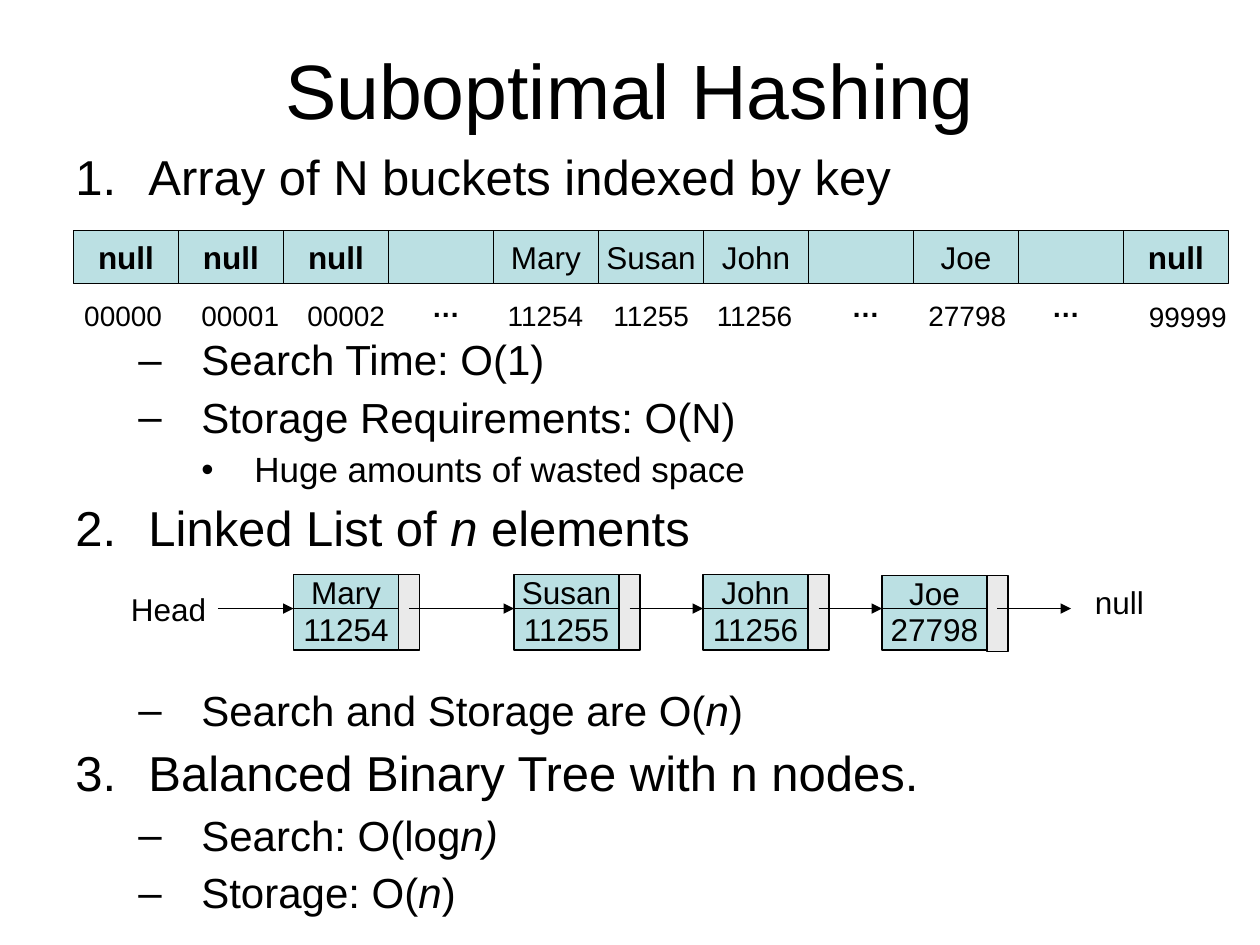
from lxml import etree
from pptx import Presentation
from pptx.dml.color import RGBColor
from pptx.enum import shapes, text
from pptx.oxml import ns
from pptx.util import Inches, Pt

COLORS = {"ink": "000000", "bucket": "BBE0E3", "pointer": "EAEAEA"}
FONT = "Arial"
INK = RGBColor.from_string(COLORS["ink"])
CENTER, LEFT = text.PP_ALIGN.CENTER, text.PP_ALIGN.LEFT
MIDDLE, TOP = text.MSO_ANCHOR.MIDDLE, text.MSO_ANCHOR.TOP

presentation = Presentation()
presentation.slide_width, presentation.slide_height = Inches(10), Inches(7.5)
slide = presentation.slides.add_slide(presentation.slide_layouts[5])


def write(shape, content, size, align=LEFT, anchor=TOP, bold=False):
    """Put one unwrapped line of text into a shape."""
    frame = shape.text_frame
    frame.auto_size = text.MSO_AUTO_SIZE.NONE
    frame.word_wrap = False
    frame.vertical_anchor = anchor
    paragraph = frame.paragraphs[0]
    paragraph.alignment = align
    run = paragraph.add_run()
    run.text = content
    for name, value in {"name": FONT, "size": Pt(size), "bold": bold}.items():
        setattr(run.font, name, value)
    run.font.color.rgb = INK


def add_cell(left, top, width, height, fill, content="", bold=False):
    cell = slide.shapes.add_shape(
        shapes.MSO_SHAPE.RECTANGLE, Inches(left), Inches(top), Inches(width), Inches(height))
    cell.shadow.inherit = False
    cell.fill.solid()
    cell.fill.fore_color.rgb = RGBColor.from_string(COLORS[fill])
    cell.line.color.rgb = INK
    cell.line.width = Pt(0.75)
    if content:
        write(cell, content, 18, CENTER, MIDDLE, bold)


# Title
title = slide.shapes.title
title.left, title.top, title.width, title.height = (Inches(n) for n in (0.5, 0.08, 9, 1.25))
write(title, "Suboptimal Hashing", 44, CENTER, MIDDLE)

# Outline: level, text with *italic* parts, space before in points
SPACING = [8, 7, 5.75]
DIAGRAM_GAP = 76
outline = [
    (0, "Array of N buckets indexed by key", SPACING[0]),
    (1, "Search Time: O(1)", DIAGRAM_GAP),
    (1, "Storage Requirements: O(N)", SPACING[1]),
    (2, "Huge amounts of wasted space", SPACING[2]),
    (0, "Linked List of *n* elements", SPACING[0]),
    (1, "Search and Storage are O(*n*)", DIAGRAM_GAP),
    (0, "Balanced Binary Tree with n nodes.", SPACING[0]),
    (1, "Search: O(log*n)*", SPACING[1]),
    (1, "Storage: O(*n*)", SPACING[1]),
]
SIZES = [28, 24, 20]
MARGINS = [0.58, 1, 1.42]
HANGS = [0.58, 0.5, 0.42]
BULLETS = [None, "–", "•"]

body = slide.shapes.add_textbox(Inches(0.5), Inches(1.17), Inches(9), Inches(6.42))
body.text_frame.word_wrap = True
number = 0
for index, (level, content, space) in enumerate(outline):
    paragraph = body.text_frame.paragraphs[0] if index == 0 else body.text_frame.add_paragraph()
    paragraph.level = level
    paragraph.line_spacing = 0.9
    paragraph.space_before = Pt(space)
    properties = paragraph._p.get_or_add_pPr()
    properties.set("marL", str(Inches(MARGINS[level])))
    properties.set("indent", str(-Inches(HANGS[level])))
    etree.SubElement(properties, ns.qn("a:buFont"), typeface=FONT)
    if level == 0:
        number += 1
        etree.SubElement(properties, ns.qn("a:buAutoNum"),
                         type="arabicPeriod", startAt=str(number))
    else:
        etree.SubElement(properties, ns.qn("a:buChar"), char=BULLETS[level])
    for part, piece in enumerate(content.split("*")):
        if piece:
            run = paragraph.add_run()
            run.text = piece
            font_format = {"name": FONT, "size": Pt(SIZES[level]), "italic": part % 2 == 1}
            for name, value in font_format.items():
                setattr(run.font, name, value)
            run.font.color.rgb = INK

# Array of buckets
CELL_WIDTH = 10 / 12
buckets = ["null", "null", "null", "", "Mary", "Susan", "John", "", "Joe", "", "null"]
for index, content in enumerate(buckets):
    add_cell(7 / 12 + index * CELL_WIDTH, 1.83, CELL_WIDTH, 0.42, "bucket",
             content, content == "null")

# Labels: text, left, top, width, height, size
KEY = (2.32, 0.81, 0.37, 16)
DOTS = (2.25, 0.42, 0.37, 16)
labels = [
    ("00000", 0.57, *KEY), ("00001", 1.5, *KEY), ("00002", 2.34, *KEY),
    ("…", 3.33, *DOTS), ("11254", 3.93, *KEY), ("11255", 4.77, *KEY),
    ("11256", 5.59, *KEY), ("…", 6.66, *DOTS), ("27798", 7.27, *KEY),
    ("…", 8.25, *DOTS), ("99999", 9.02, 2.33, *KEY[1:]),
    ("Head", 0.94, 4.63, 0.8, 0.4, 18), ("null", 8.59, 4.58, 0.59, 0.4, 18),
]
for content, left, top, width, height, size in labels:
    label = slide.shapes.add_textbox(Inches(left), Inches(top), Inches(width), Inches(height))
    write(label, content, size, bold=content == "…")

# Linked list nodes
POINTER_WIDTH = 2 / 12
nodes = [("Mary", "11254", 2.33, 4.56), ("Susan", "11255", 4.08, 4.56),
         ("John", "11256", 5.58, 4.56), ("Joe", "27798", 7, 4.57)]
for name, key, left, top in nodes:
    add_cell(left, top, CELL_WIDTH, 0.27, "bucket", name)
    add_cell(left, 4.83, CELL_WIDTH, 0.33, "bucket", key)
    add_cell(left + CELL_WIDTH, top, POINTER_WIDTH, 0.6, "pointer")

# Arrows run from the middle of each pointer cell to the next node
starts = [1.73] + [left + CELL_WIDTH + POINTER_WIDTH / 2 for _, _, left, _ in nodes]
ends = [left for _, _, left, _ in nodes] + [8.5]
for start, end in zip(starts, ends):
    arrow = slide.shapes.add_connector(
        shapes.MSO_CONNECTOR.STRAIGHT, Inches(start), Inches(4.83), Inches(end), Inches(4.83))
    arrow.line.color.rgb = INK
    arrow.line.width = Pt(0.75)
    etree.SubElement(arrow.line._get_or_add_ln(), ns.qn("a:tailEnd"), type="triangle")
    etree.SubElement(arrow._element.spPr, ns.qn("a:effectLst"))

presentation.save("out.pptx")
